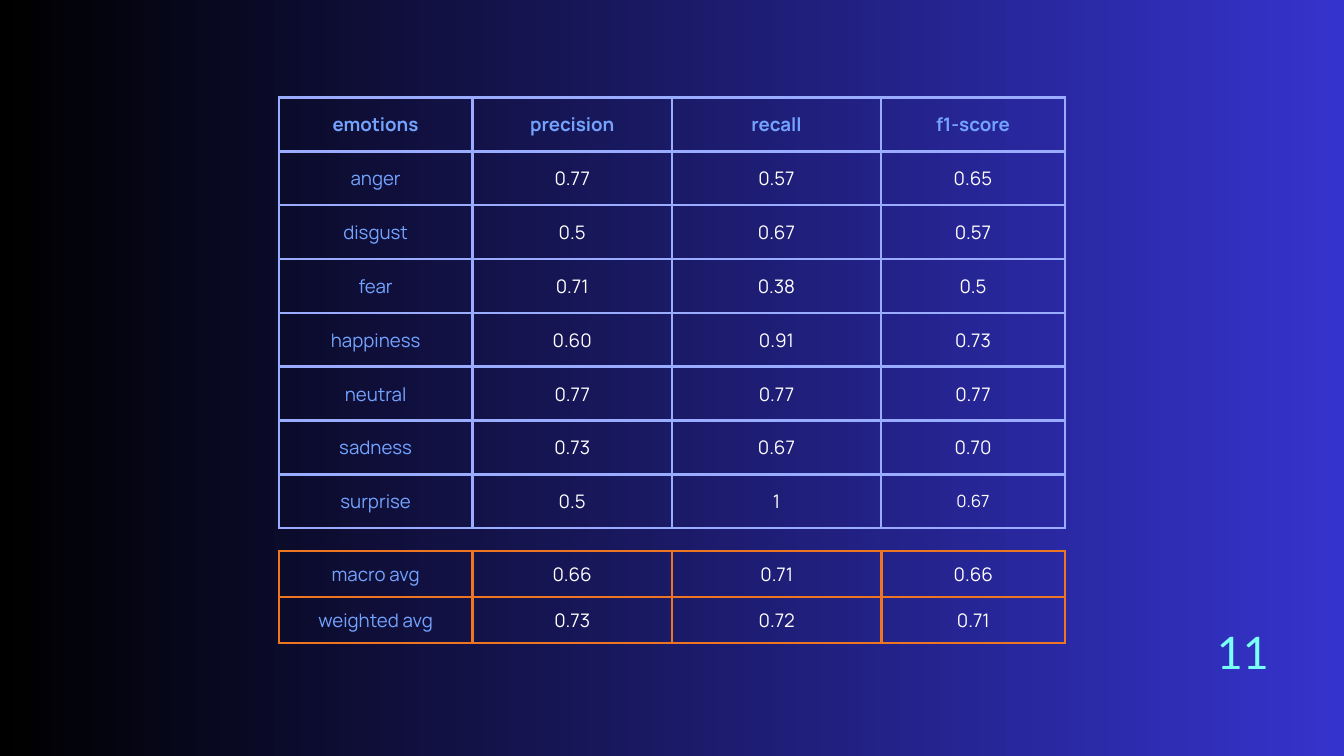
from dataclasses import dataclass

from lxml import etree
from pptx import Presentation
from pptx.dml.color import RGBColor
from pptx.enum import text
from pptx.oxml import ns
from pptx.util import Pt

LABEL = "73A3FF"
VALUE = "FFFFFF"
LEFT = 298.8


@dataclass
class ScoreTable:
    top: float
    row_height: float
    col_widths: tuple[float, ...]
    border: str
    margin: float
    rows: list[tuple[str, ...]]
    has_header: bool = False


SCORES = ScoreTable(
    104.4, 57.7, (207.4, 213.8, 223.9, 197.3), "99ACFF", 2,
    [
        ("emotions", "precision", "recall", "f1-score"),
        ("anger", "0.77", "0.57", "0.65"),
        ("disgust", "0.5", "0.67", "0.57"),
        ("fear", "0.71", "0.38", "0.5"),
        ("happiness", "0.60", "0.91", "0.73"),
        ("neutral", "0.77", "0.77", "0.77"),
        ("sadness", "0.73", "0.67", "0.70"),
        ("surprise", "0.5", "1", "0.67"),
    ],
    has_header=True,
)
AVERAGES = ScoreTable(
    590.4, 49.3, (207.4, 213.8, 224.6, 196.6), "EE7623", 0,
    [
        ("macro avg", "0.66", "0.71", "0.66"),
        ("weighted avg", "0.73", "0.72", "0.71"),
    ],
)


def rgb(value: str) -> RGBColor:
    return RGBColor.from_string(value)


def format_text(p, font: str, size: float, color: str, align, spacing: float, bold: bool = False) -> None:
    p.alignment = align
    p.line_spacing = Pt(spacing)
    for r in p.runs:
        r.font.name = font
        r.font.size = Pt(size)
        r.font.bold = bold
        r.font.color.rgb = rgb(color)


def set_borders(cell, color: str, width: float) -> None:
    tc_pr = cell._tc.get_or_add_tcPr()
    for side in ("a:lnL", "a:lnR", "a:lnT", "a:lnB"):
        ln = etree.SubElement(tc_pr, ns.qn(side), w=str(Pt(width)))
        fill = etree.SubElement(ln, ns.qn("a:solidFill"))
        etree.SubElement(fill, ns.qn("a:srgbClr"), val=color)


def format_cell(cell, content: str, size: float, color: str, bold: bool, spec_table: ScoreTable) -> None:
    cell.text_frame.text = content
    cell.vertical_anchor = text.MSO_ANCHOR.MIDDLE
    cell.margin_left = cell.margin_right = Pt(spec_table.margin)
    cell.margin_top = cell.margin_bottom = Pt(spec_table.margin)
    set_borders(cell, spec_table.border, 3)
    cell.fill.background()
    format_text(cell.text_frame.paragraphs[0], "Manrope", size, color,
                text.PP_ALIGN.CENTER, size * 1.4, bold)


def draw_table(s, data: ScoreTable):
    n_rows, n_cols = len(data.rows), len(data.col_widths)
    table = s.shapes.add_table(
        n_rows, n_cols, Pt(LEFT), Pt(data.top),
        Pt(sum(data.col_widths)), Pt(n_rows * data.row_height),
    ).table
    table.first_row = data.has_header
    table.horz_banding = False
    for col, width in zip(table.columns, data.col_widths):
        col.width = Pt(width)
    for i, row in enumerate(data.rows):
        table.rows[i].height = Pt(data.row_height)
        is_header = data.has_header and i == 0
        for j, content in enumerate(row):
            color = LABEL if is_header or j == 0 else VALUE
            is_last_score = data is SCORES and (i, j) == (n_rows - 1, n_cols - 1)
            size = 18 if is_last_score else 20
            format_cell(table.cell(i, j), content, size, color, is_header, data)


def draw_page_number(s, number: str) -> None:
    sp = s.shapes.add_textbox(Pt(1220.4), Pt(679.7), Pt(139), Pt(49.7))
    tf = sp.text_frame
    tf.word_wrap = True
    tf.auto_size = text.MSO_AUTO_SIZE.SHAPE_TO_FIT_TEXT
    tf.margin_left = tf.margin_right = tf.margin_top = tf.margin_bottom = 0
    tf.text = number
    format_text(tf.paragraphs[0], "Lato", 48, "7AFFF5", text.PP_ALIGN.RIGHT, 47.5)


def draw_background(s) -> None:
    fill = s.background.fill
    fill.gradient()
    fill.gradient_angle = 0
    for stop, color in zip(fill.gradient_stops, ("000000", "3533CD")):
        stop.color.rgb = rgb(color)


def main() -> None:
    prs = Presentation()
    prs.slide_width, prs.slide_height = Pt(1440), Pt(810)
    s = prs.slides.add_slide(prs.slide_layouts[6])
    draw_background(s)
    for data in (SCORES, AVERAGES):
        draw_table(s, data)
    draw_page_number(s, "11")
    prs.save("out.pptx")


if __name__ == "__main__":
    main()
